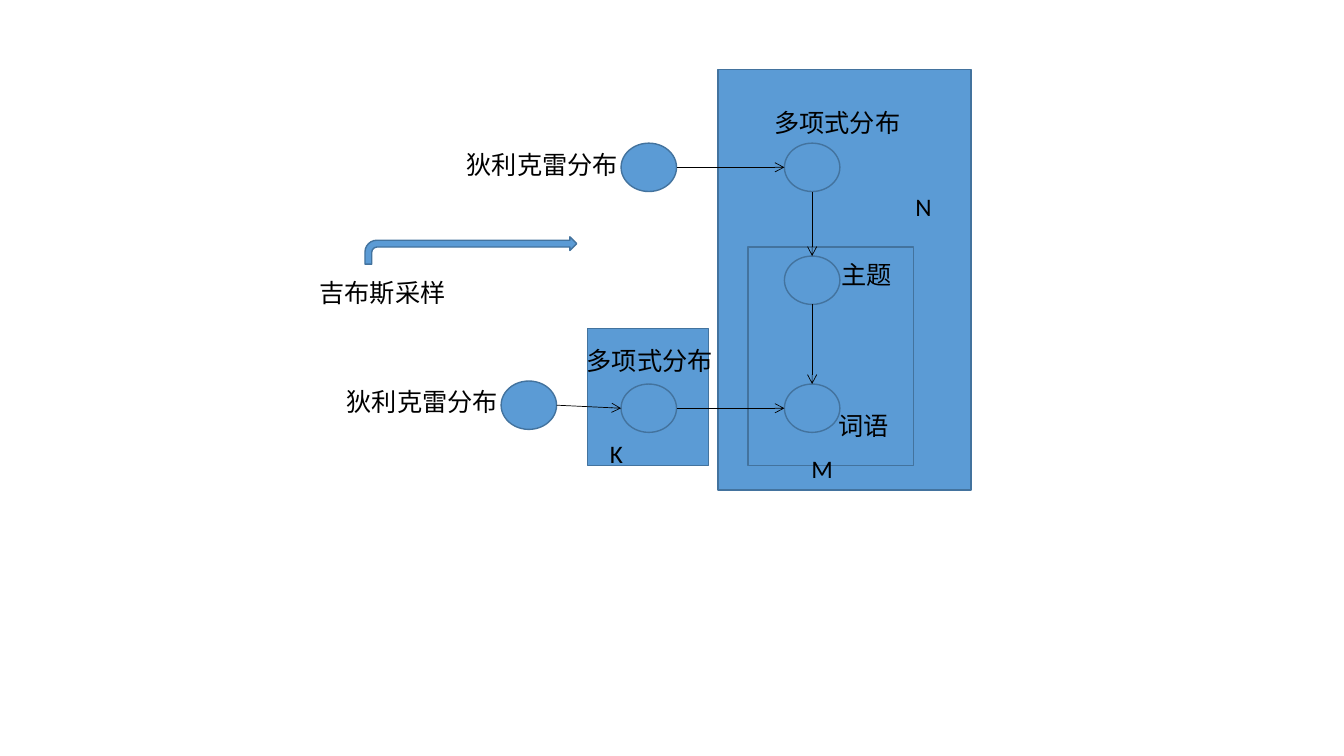
from pptx import Presentation
from pptx.dml.color import RGBColor
from pptx.enum.shapes import MSO_CONNECTOR, MSO_SHAPE
from pptx.enum.text import MSO_AUTO_SIZE
from pptx.oxml.ns import qn
from pptx.util import Inches, Pt
from lxml import etree

RECT = MSO_SHAPE.RECTANGLE
OVAL = MSO_SHAPE.OVAL
BENT_ARROW = MSO_SHAPE.BENT_ARROW
STRAIGHT = MSO_CONNECTOR.STRAIGHT
FIT_SHAPE = MSO_AUTO_SIZE.SHAPE_TO_FIT_TEXT

BLUE = RGBColor(0x5B, 0x9B, 0xD5)
EDGE = RGBColor(0x43, 0x73, 0x9E)
BLACK = RGBColor(0, 0, 0)

NODE_W, NODE_H = 0.55, 0.48
LABEL_H = 0.4
LABEL_FONT = {"name": "Calibri", "size": Pt(18)}

PLATES = [
    (5.83, 3.26, 1.2, 1.36),
    (7.12, 0.69, 2.51, 4.17),
    (7.42, 2.45, 1.64, 2.17),
]
NODES = {
    "topic_prior": (6.16, 1.42),
    "word_prior": (4.97, 3.78),
    "topic_dist": (7.78, 1.42),
    "word_dist": (6.16, 3.81),
    "topic": (7.78, 2.54),
    "word": (7.78, 3.81),
}
ACROSS = [
    ("topic_prior", "topic_dist"),
    ("word_prior", "word_dist"),
    ("word_dist", "word"),
]
DOWN = [("topic_dist", "topic"), ("topic", "word")]
LABELS = [
    ("狄利克雷分布", 4.53, 1.43, 1.87),
    ("狄利克雷分布", 3.34, 3.78, 1.87),
    ("多项式分布", 7.58, 1.02, 1.71),
    ("多项式分布", 5.72, 3.38, 1.71),
    ("词语", 8.22, 4.02, 0.77),
    ("主题", 8.25, 2.52, 0.77),
    ("M", 7.95, 4.45, 0.57),
    ("N", 8.98, 1.85, 0.35),
    ("K", 5.95, 4.3, 0.35),
    ("吉布斯采样", 3.07, 2.7, 1.5),
]


def add_blue_shape(s, kind, x, y, w, h):
    sp = s.shapes.add_shape(kind, Inches(x), Inches(y), Inches(w), Inches(h))
    sp.shadow.inherit = False
    sp.fill.solid()
    sp.fill.fore_color.rgb = BLUE
    sp.line.color.rgb = EDGE
    sp.line.width = Pt(1)
    return sp


def add_arrow(s, x1, y1, x2, y2):
    line = s.shapes.add_connector(
        STRAIGHT, Inches(x1), Inches(y1), Inches(x2), Inches(y2))
    line.line.color.rgb = BLACK
    line.line.width = Pt(0.5)
    ln = line.line._get_or_add_ln()
    etree.SubElement(ln, qn("a:tailEnd"), type="arrow")
    etree.SubElement(line._element.spPr, qn("a:effectLst"))


def add_label(s, text, x, y, w):
    box = s.shapes.add_textbox(Inches(x), Inches(y), Inches(w), Inches(LABEL_H))
    tf = box.text_frame
    tf.word_wrap = True
    tf.auto_size = FIT_SHAPE
    r = tf.paragraphs[0].add_run()
    r.text = text
    for name, value in LABEL_FONT.items():
        setattr(r.font, name, value)
    r.font.color.rgb = BLACK


def main():
    prs = Presentation()
    prs.slide_width, prs.slide_height = Inches(13.33), Inches(7.5)
    s = prs.slides.add_slide(prs.slide_layouts[6])

    for plate in PLATES:
        add_blue_shape(s, RECT, *plate)
    for x, y in NODES.values():
        add_blue_shape(s, OVAL, x, y, NODE_W, NODE_H)
    for start, end in ACROSS:
        (x1, y1), (x2, y2) = NODES[start], NODES[end]
        add_arrow(s, x1 + NODE_W, y1 + NODE_H / 2, x2, y2 + NODE_H / 2)
    for start, end in DOWN:
        (x1, y1), (x2, y2) = NODES[start], NODES[end]
        add_arrow(s, x1 + NODE_W / 2, y1 + NODE_H, x2 + NODE_W / 2, y2)
    add_blue_shape(s, BENT_ARROW, 3.62, 2.35, 2.1, 0.27)
    for label in LABELS:
        add_label(s, *label)

    prs.save("out.pptx")


if __name__ == "__main__":
    main()
